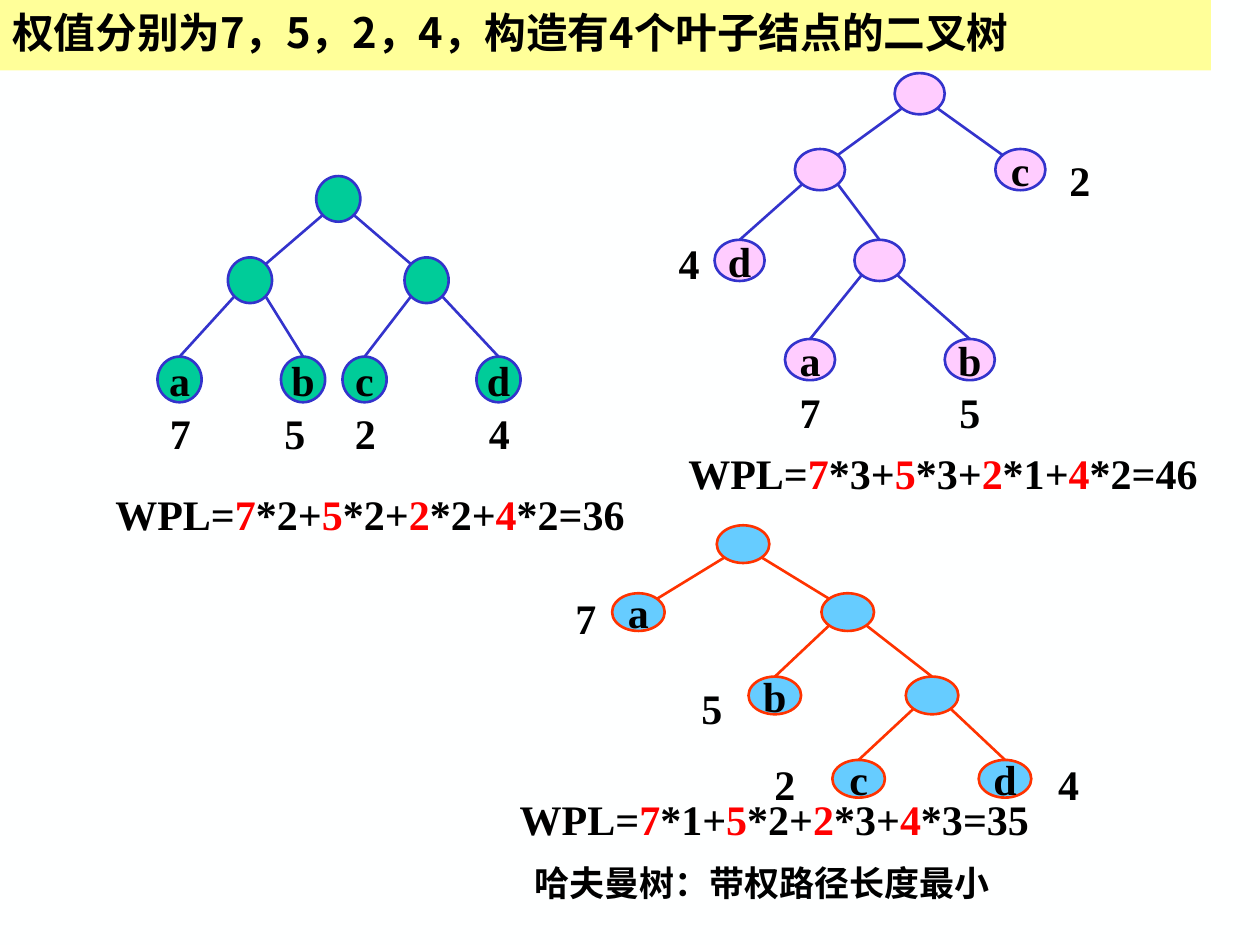
from math import sqrt
from pptx import Presentation
from pptx.dml.color import RGBColor as Rgb
from pptx.enum.shapes import MSO_CONNECTOR as Link, MSO_SHAPE as Form
from pptx.enum.text import MSO_ANCHOR as Anchor, MSO_AUTO_SIZE as Fit, PP_ALIGN as Align
from pptx.oxml.ns import qn
from pptx.util import Cm, Pt
from lxml.etree import SubElement as Sub

HUES = {
    "page": "FEFFFF", "bar": "FFFF99", "ink": "000000", "mark": "FF0000",
    "pink": "FFCCFF", "green": "00CC99", "sky": "66CCFF",
    "blue": "3333CC", "red": "FF3300",
}
SERIF = "Times New Roman"
SANS = "Noto Sans CJK SC"
LOADS = {"a": 7, "b": 5, "c": 2, "d": 4}

TREES = [
    {"fill": "pink", "line": "blue", "size": (1.01, 0.83), "sum": (13.61, 8.89, 10.8),
     "root": (18.54, 1.89,
              (16.53, 3.42,
               (14.91, 5.25, "d", (13.89, 4.67)),
               (17.73, 5.25,
                (16.33, 7.25, "a", (16.33, 7.67)),
                (19.55, 7.25, "b", (19.55, 7.67)))),
              (20.57, 3.42, "c", (21.77, 3.0)))},
    {"fill": "sky", "line": "red", "size": (1.06, 0.76), "sum": (10.21, 15.88, 10.8),
     "root": (14.98, 10.97,
              (12.87, 12.34, "a", (11.81, 11.81)),
              (17.09, 12.34,
               (15.62, 14.02, "b", (14.35, 13.64)),
               (18.79, 14.02,
                (17.31, 15.7, "c", (15.82, 15.16)),
                (20.26, 15.7, "d", (21.54, 15.16)))))},
    {"fill": "green", "line": "blue", "size": (0.89, 0.92), "sum": (1.96, 9.73, 11.0),
     "root": (6.82, 4.01,
              (5.04, 5.65,
               (3.62, 7.65, "a", (3.62, 8.1)),
               (6.11, 7.65, "b", (5.93, 8.1))),
              (8.6, 5.65,
               (7.35, 7.65, "c", (7.35, 8.1)),
               (10.05, 7.65, "d", (10.05, 8.1))))},
]


def hue(name):
    return Rgb.from_string(HUES[name])


def add_run(para, text, color="ink", size=24, font=SERIF):
    run = para.add_run()
    run.text = text
    run.font.size = Pt(size)
    run.font.bold = True
    run.font.name = font
    run.font.color.rgb = hue(color)
    Sub(run._r.get_or_add_rPr(), qn("a:ea"), typeface=SANS)


def add_box(shapes, x, y, wide, high=1.27):
    frame = shapes.add_textbox(Cm(x), Cm(y), Cm(wide), Cm(high)).text_frame
    frame.word_wrap = True
    frame.auto_size = Fit.SHAPE_TO_FIT_TEXT
    return frame.paragraphs[0]


def add_mid(shapes, x, y, wide):
    para = add_box(shapes, x, y, wide)
    para.alignment = Align.CENTER
    para.space_before = Pt(15)
    return para


def add_oval(shapes, tree, x, y, name=None):
    wide, high = tree["size"]
    oval = shapes.add_shape(Form.OVAL, Cm(x - wide / 2), Cm(y - high / 2), Cm(wide), Cm(high))
    oval.shadow.inherit = False
    oval.fill.solid()
    oval.fill.fore_color.rgb = hue(tree["fill"])
    oval.line.color.rgb = hue(tree["line"])
    oval.line.width = Pt(1.5)
    if name:
        frame = oval.text_frame
        frame.word_wrap = False
        frame.vertical_anchor = Anchor.MIDDLE
        frame.paragraphs[0].alignment = Align.CENTER
        add_run(frame.paragraphs[0], name)
    return oval


def add_edge(shapes, tree, top, low, oval, depth):
    dx, dy = (side / sqrt(8) for side in tree["size"])
    side = 1 if low[0] > top[0] else -1
    edge = shapes.add_connector(
        Link.STRAIGHT, Cm(top[0] + side * dx), Cm(top[1] + dy),
        Cm(low[0] - side * dx), Cm(low[1] - dy))
    if depth:
        edge.end_connect(oval, 0)
    edge.line.color.rgb = hue(tree["line"])
    edge.line.width = Pt(1.5)
    Sub(edge._element.spPr, qn("a:effectLst"))


def add_node(shapes, tree, node, depth=0):
    x, y, *rest = node
    if isinstance(rest[0], str):
        name, (mid, top) = rest
        wide = tree["size"][0]
        add_run(add_mid(shapes, mid - wide / 2, top, wide), str(LOADS[name]))
        return add_oval(shapes, tree, x, y, name), {name: depth}
    depths = {}
    for kid in rest:
        oval, found = add_node(shapes, tree, kid, depth + 1)
        add_edge(shapes, tree, node, kid, oval, depth)
        depths.update(found)
    return add_oval(shapes, tree, x, y), depths


def add_sum(shapes, place, depths):
    para = add_mid(shapes, *place)
    total = sum(load * depths[name] for name, load in LOADS.items())
    lead = "WPL="
    for name, load in LOADS.items():
        add_run(para, lead)
        add_run(para, str(load), "mark")
        lead = f"*{depths[name]}+"
    add_run(para, lead.replace("+", f"={total}"))


def add_title(shapes, text):
    bar = shapes.add_shape(Form.RECTANGLE, 0, 0, Cm(24.41), Cm(1.42))
    bar.shadow.inherit = False
    bar.fill.solid()
    bar.fill.fore_color.rgb = hue("bar")
    bar.line.fill.background()
    bar.text_frame.word_wrap = True
    bar.text_frame.vertical_anchor = Anchor.MIDDLE
    para = bar.text_frame.paragraphs[0]
    para.alignment = Align.LEFT
    para.line_spacing = 0.9
    add_run(para, text, size=23.8, font=SANS)


def main():
    deck = Presentation()
    deck.slide_width, deck.slide_height = Cm(25.4), Cm(19.05)
    slide = deck.slides.add_slide(deck.slide_layouts[6])
    slide.background.fill.solid()
    slide.background.fill.fore_color.rgb = hue("page")
    shapes = slide.shapes
    for tree in TREES:
        group = shapes.add_group_shape()
        depths = add_node(group.shapes, tree, tree["root"])[1]
        add_sum(shapes, tree["sum"], depths)
    add_title(shapes, "权值分别为7，5，2，4，构造有4个叶子结点的二叉树")
    note = add_box(shapes, 10.52, 17.25, 14.66, 1.12)
    add_run(note, "哈夫曼树：带权路径长度最小", size=20)
    deck.save("out.pptx")


if __name__ == "__main__":
    main()
